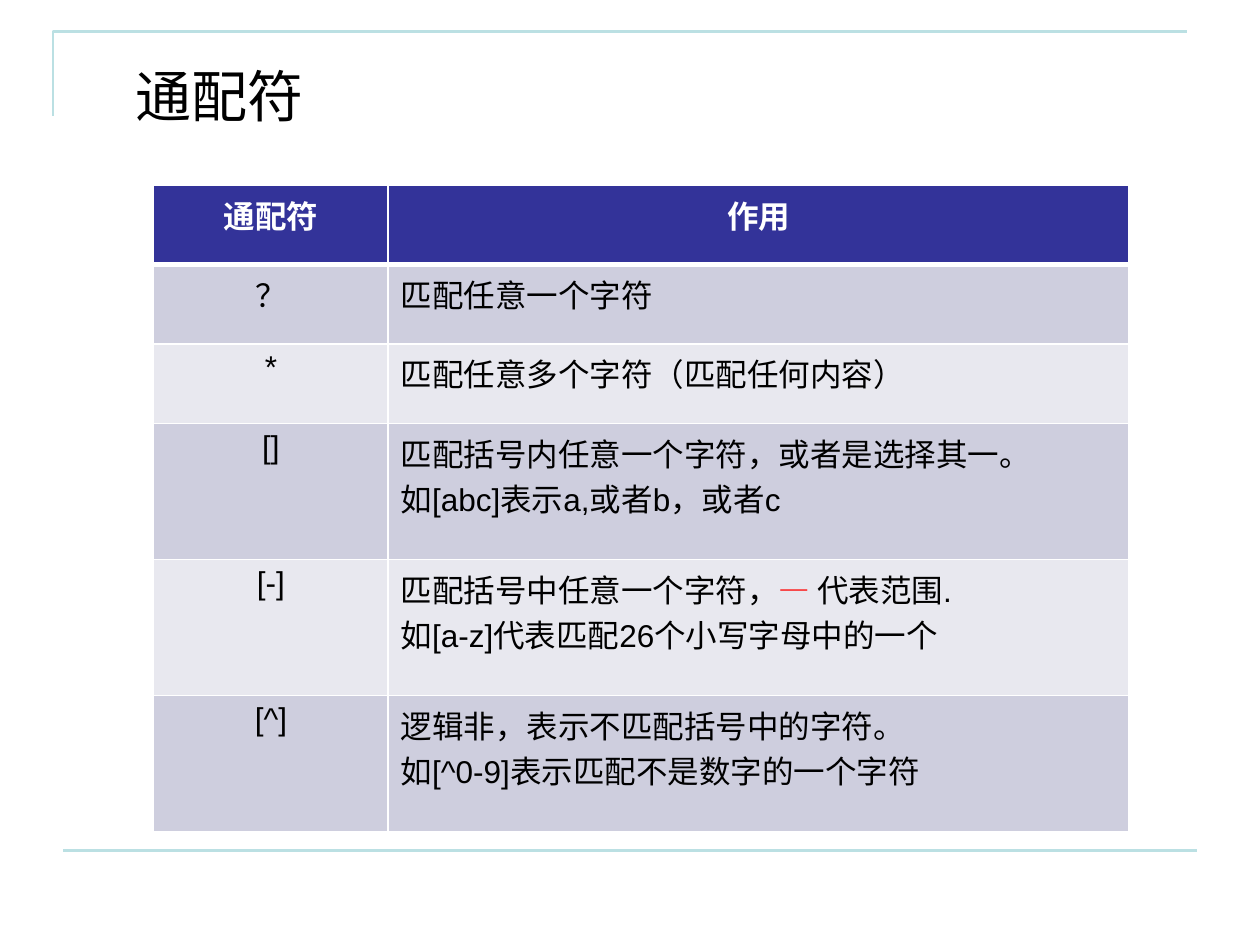
from lxml import etree
from pptx import Presentation
from pptx import util as u
from pptx.dml.color import RGBColor
from pptx.enum import shapes, text
from pptx.oxml.ns import qn

COLORS = {"frame": "BBE0E3", "header": "333399", "odd": "CECEDE", "even": "E8E8EF",
          "border": "FFFFFF", "white": "FFFFFF", "black": "000000", "accent": "FF0000"}
FONT = "Arial"
HEADER = ("通配符", "作用")
# Each explanation is a list of lines; a line is a list of (text, colour) runs
ROWS = [
    ("？", [[("匹配任意一个字符", "black")]]),
    ("*", [[("匹配任意多个字符（匹配任何内容）", "black")]]),
    ("[]", [[("匹配括号内任意一个字符，或者是选择其一。", "black")],
            [("如[abc]表示a,或者b，或者c", "black")]]),
    ("[-]", [[("匹配括号中任意一个字符，", "black"), ("— ", "accent"), ("代表范围.", "black")],
             [("如[a-z]代表匹配26个小写字母中的一个", "black")]]),
    ("[^]", [[("逻辑非，表示不匹配括号中的字符。", "black")],
             [("如[^0-9]表示匹配不是数字的一个字符", "black")]]),
]


def rgb(name):
    return RGBColor.from_string(COLORS[name])


def add_run(para, words, size, color, bold=False):
    span = para.add_run()
    span.text = words
    span.font.name = FONT
    span.font.size = u.Pt(size)
    span.font.bold = bold
    span.font.color.rgb = rgb(color)


def style_line(shape):
    shape.line.color.rgb = rgb("frame")
    shape.line.width = u.Pt(1.5)


def add_frame(page, left, top, width, height):
    """Corner bracket above the content and a rule below it."""
    x, y = u.Inches(left), u.Inches(top)
    builder = page.shapes.build_freeform(x, y + u.Inches(0.67))
    builder.add_line_segments([(x, y), (x + u.Inches(width), y)], close=False)
    bracket = builder.convert_to_shape()
    bracket.fill.background()
    bracket.shadow.inherit = False
    style_line(bracket)

    rule_left, rule_y = x + u.Inches(0.08), y + u.Inches(height)
    rule = page.shapes.add_connector(shapes.MSO_CONNECTOR.STRAIGHT, rule_left, rule_y,
                                     rule_left + u.Inches(width), rule_y)
    style_line(rule)
    etree.SubElement(rule._element.spPr, qn("a:effectLst"))


def add_title(page, left, top, width, height):
    box = page.shapes.add_textbox(*map(u.Inches, (left, top, width, height)))
    box.text_frame.word_wrap = True
    add_run(box.text_frame.paragraphs[0], "通配符", 32, "black")


def set_borders(cell, top, bottom):
    properties = cell._tc.get_or_add_tcPr()
    for side, points in (("L", 1), ("R", 1), ("T", top), ("B", bottom)):
        line = etree.SubElement(properties, qn(f"a:ln{side}"), w=str(u.Pt(points)))
        fill = etree.SubElement(line, qn("a:solidFill"))
        etree.SubElement(fill, qn("a:srgbClr"), val=COLORS["border"])


def fill_cell(cell, lines, background, centered, bold=False, top=1, bottom=1):
    set_borders(cell, top, bottom)
    cell.fill.solid()
    cell.fill.fore_color.rgb = rgb(background)
    frame = cell.text_frame
    for index, line in enumerate(lines):
        para = frame.add_paragraph() if index else frame.paragraphs[0]
        if centered:
            para.alignment = text.PP_ALIGN.CENTER
        for words, color in line:
            add_run(para, words, 18, color, bold)


def add_wildcard_table(page, left, top, width, height):
    key_width, short_row = 1.86, 0.63
    tall_row = (height - 3 * short_row) / 3
    table = page.shapes.add_table(len(ROWS) + 1, 2,
                                  *map(u.Inches, (left, top, width, height))).table
    table.columns[0].width = u.Inches(key_width)
    table.columns[1].width = u.Inches(width - key_width)

    # Header row
    table.rows[0].height = u.Inches(short_row)
    for column, words in enumerate(HEADER):
        fill_cell(table.cell(0, column), [[(words, "white")]], "header", True,
                  bold=True, bottom=3)

    # Body rows: two-line explanations get the taller height
    for number, (symbol, lines) in enumerate(ROWS, 1):
        table.rows[number].height = u.Inches(tall_row if len(lines) > 1 else short_row)
        background = "odd" if number % 2 else "even"
        top_border = 3 if number == 1 else 1
        fill_cell(table.cell(number, 0), [[(symbol, "black")]], background, True,
                  top=top_border)
        fill_cell(table.cell(number, 1), lines, background, False, top=top_border)


def main():
    deck = Presentation()
    deck.slide_width, deck.slide_height = u.Inches(10), u.Inches(7.5)
    page = deck.slides.add_slide(deck.slide_layouts[6])
    add_frame(page, 0.42, 0.25, 9, 6.5)
    add_wildcard_table(page, 1.22, 1.47, 7.74, 5.13)
    add_title(page, 0.98, 0.44, 3.31, 0.64)
    deck.save("out.pptx")


if __name__ == "__main__":
    main()
